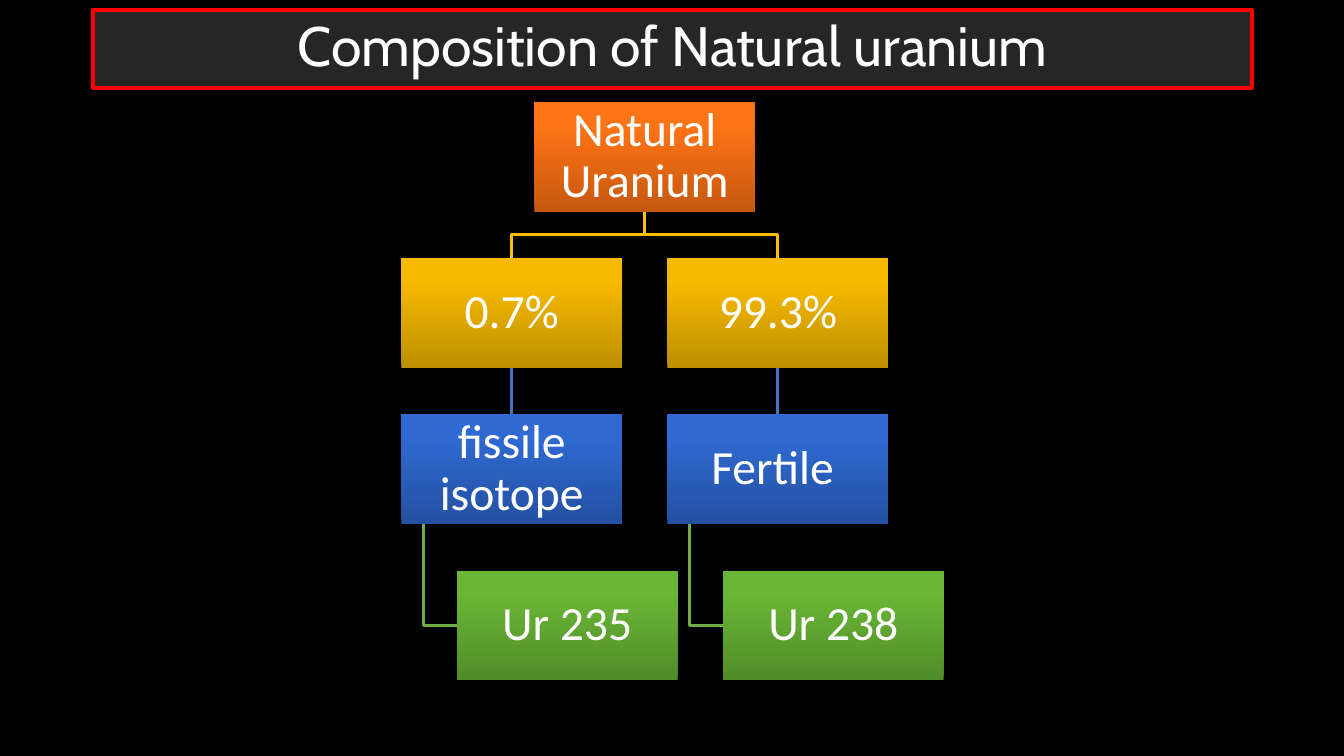
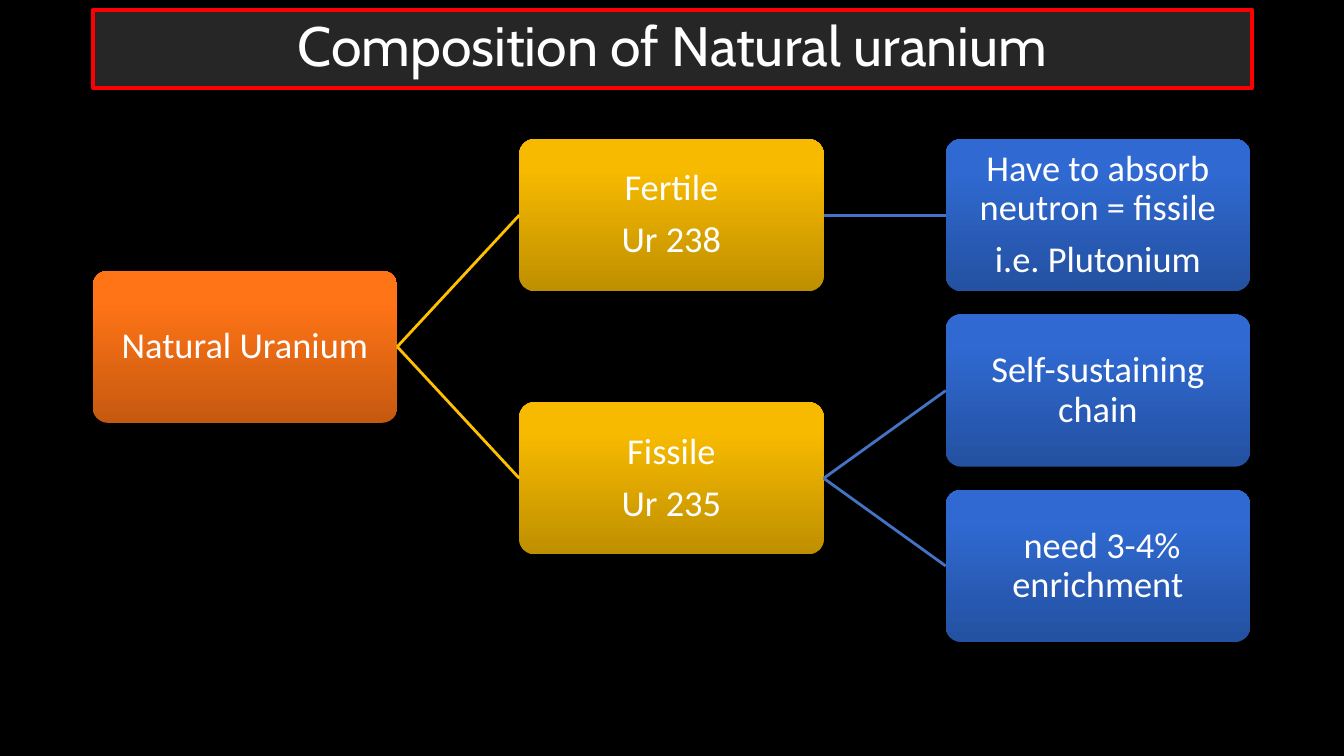
from itertools import count

from lxml import etree
from pptx import Presentation
from pptx.dml.color import RGBColor
from pptx.enum.shapes import MSO_CONNECTOR, MSO_SHAPE
from pptx.enum.text import MSO_ANCHOR, PP_ALIGN
from pptx.oxml.ns import qn
from pptx.util import Inches, Pt

RECT = MSO_SHAPE.RECTANGLE
ROUND_RECT = MSO_SHAPE.ROUNDED_RECTANGLE
STRAIGHT = MSO_CONNECTOR.STRAIGHT
CENTER = PP_ALIGN.CENTER
MIDDLE = MSO_ANCHOR.MIDDLE
TOP, LEFT, BOTTOM, RIGHT = range(4)  # connection sites

# Colours
BLACK = RGBColor(0x00, 0x00, 0x00)
WHITE = RGBColor(0xFF, 0xFF, 0xFF)
RED = RGBColor(0xFF, 0x00, 0x00)
CHARCOAL = RGBColor(0x26, 0x26, 0x26)
GOLD_LINE = RGBColor(0xFF, 0xC0, 0x00)
BLUE_LINE = RGBColor(0x44, 0x72, 0xC4)
GREEN_LINE = RGBColor(0x70, 0xAD, 0x47)

# Gradients: bottom colour, top colour
ORANGE = (RGBColor(0xC6, 0x59, 0x10), RGBColor(0xFF, 0x74, 0x16))
GOLD = (RGBColor(0xBE, 0x8F, 0x00), RGBColor(0xF7, 0xBA, 0x00))
BLUE = (RGBColor(0x24, 0x51, 0xA1), RGBColor(0x2F, 0x69, 0xD1))
GREEN = (RGBColor(0x51, 0x8D, 0x2A), RGBColor(0x6A, 0xB6, 0x36))

TITLE = "Composition of Natural uranium"
TITLE_FONT, BODY_FONT = "Cabin", "Calibri"

# Hierarchy chart of slide 1
CHART_W, CHART_H = Inches(2.19), Inches(1.09)
CHART_LEFT, CHART_TOP = Inches(3.98), Inches(1.01)
COL_STEP, ROW_STEP = Inches(2.64), Inches(1.55)
LEAF_INDENT, STEM_INDENT = Inches(0.55), Inches(0.22)
BRANCHES = [("0.7%", "fissile isotope", "Ur 235"),
            ("99.3%", "Fertile ", "Ur 238")]

# Tree of slide 2: (text, children)
NODE_W, NODE_H = Inches(3.02), Inches(1.51)
TREE_LEFT, TREE_TOP = Inches(0.92), Inches(1.38)
LEVEL_STEP, LEAF_STEP = Inches(4.23), Inches(1.74)
LEVEL_FILLS = [ORANGE, GOLD, BLUE]
LEVEL_LINES = [GOLD_LINE, BLUE_LINE]
TREE = ("Natural Uranium", [
    ("Fertile\nUr 238", [("Have to absorb neutron = fissile\ni.e. Plutonium", [])]),
    ("Fissile\nUr 235", [("Self-sustaining chain", []),
                         (" need 3-4% enrichment", [])]),
])


def set_text(shape, text, size, font, inset, space_after=0):
    tf = shape.text_frame
    tf.word_wrap = True
    tf.vertical_anchor = MIDDLE
    tf.margin_left = tf.margin_right = tf.margin_top = tf.margin_bottom = inset
    tf.text = text
    for p in tf.paragraphs:
        p.alignment = CENTER
        p.line_spacing = 0.9
        p.space_after = Pt(space_after)
        for r in p.runs:
            r.font.size = Pt(size)
            r.font.name = font
            r.font.color.rgb = WHITE


def add_titled_slide(prs):
    s = prs.slides.add_slide(prs.slide_layouts[6])
    s.background.fill.solid()
    s.background.fill.fore_color.rgb = BLACK
    band = s.shapes.add_shape(RECT, Inches(0.92), Inches(0.1),
                              Inches(11.5), Inches(0.77))
    band.shadow.inherit = False
    band.fill.solid()
    band.fill.fore_color.rgb = CHARCOAL
    band.line.color.rgb = RED
    band.line.width = Pt(3)
    set_text(band, TITLE, 39.6, TITLE_FONT, Inches(0.05))
    return s


def add_box(s, kind, x, y, w, h, gradient, text, size, inset):
    box = s.shapes.add_shape(kind, x, y, w, h)
    box.shadow.inherit = False
    box.line.fill.background()
    box.fill.gradient()
    box.fill.gradient_angle = 90
    for stop, position, color in zip(box.fill.gradient_stops, (0, 0.8), gradient):
        stop.position = position
        stop.color.rgb = color
    set_text(box, text, size, BODY_FONT, inset, size * 0.35)
    return box


def join(s, start, start_site, end, end_site, color):
    line = s.shapes.add_connector(STRAIGHT, 0, 0, 0, 0)
    line.begin_connect(start, start_site)
    line.end_connect(end, end_site)
    line.line.color.rgb = color
    line.line.width = Pt(2)
    etree.SubElement(line._element.spPr, qn("a:effectLst"))


def add_elbow(s, points, color):
    builder = s.shapes.build_freeform(*points[0])
    builder.add_line_segments(points[1:], close=False)
    elbow = builder.convert_to_shape()
    elbow.shadow.inherit = False
    elbow.fill.background()
    elbow.line.color.rgb = color
    elbow.line.width = Pt(2)


def add_chart_box(s, x, row, gradient, text):
    return add_box(s, RECT, x, CHART_TOP + row * ROW_STEP, CHART_W, CHART_H,
                   gradient, text, 34, Inches(0.02))


def add_hierarchy(s):
    root = add_chart_box(s, CHART_LEFT + COL_STEP // 2, 0, ORANGE, "Natural Uranium")
    root_x, root_y = root.left + CHART_W // 2, root.top + CHART_H
    for col, (share, kind, isotope) in enumerate(BRANCHES):
        x = CHART_LEFT + col * COL_STEP
        share_box = add_chart_box(s, x, 1, GOLD, share)
        kind_box = add_chart_box(s, x, 2, BLUE, kind)
        leaf = add_chart_box(s, x + LEAF_INDENT, 3, GREEN, isotope)

        # Root to share
        mid_x, mid_y = x + CHART_W // 2, (root_y + share_box.top) // 2
        add_elbow(s, [(root_x, root_y), (root_x, mid_y), (mid_x, mid_y),
                      (mid_x, share_box.top)], GOLD_LINE)
        # Share to kind
        join(s, share_box, BOTTOM, kind_box, TOP, BLUE_LINE)
        # Kind to isotope
        stem_x, leaf_y = x + STEM_INDENT, leaf.top + CHART_H // 2
        add_elbow(s, [(stem_x, kind_box.top + CHART_H), (stem_x, leaf_y),
                      (leaf.left, leaf_y)], GREEN_LINE)


def add_tree(s, node, leaf_rows, level=0):
    """Draw a node centred on its children, and return its box."""
    text, children = node
    boxes = [add_tree(s, child, leaf_rows, level + 1) for child in children]
    if boxes:
        y = (boxes[0].top + boxes[-1].top) // 2
    else:
        y = TREE_TOP + next(leaf_rows) * LEAF_STEP
    box = add_box(s, ROUND_RECT, TREE_LEFT + level * LEVEL_STEP, y, NODE_W, NODE_H,
                  LEVEL_FILLS[level], text, 26, Inches(0.06))
    box.adjustments[0] = 0.1
    for child_box in boxes:
        join(s, box, RIGHT, child_box, LEFT, LEVEL_LINES[level])
    return box


def main():
    prs = Presentation()
    prs.slide_width, prs.slide_height = Inches(13.33), Inches(7.5)
    add_hierarchy(add_titled_slide(prs))
    add_tree(add_titled_slide(prs), TREE, count())
    prs.save("out.pptx")


if __name__ == "__main__":
    main()
